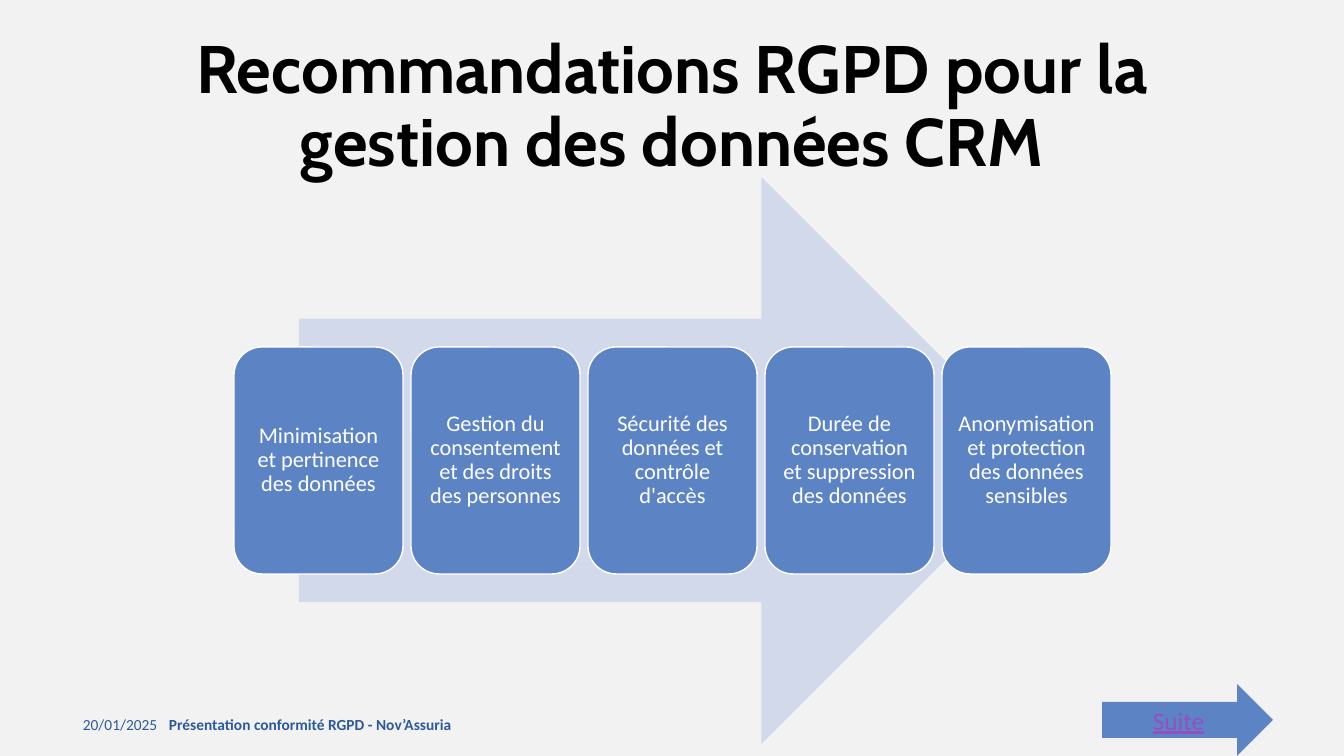
from dataclasses import dataclass

from pptx import Presentation
from pptx.dml.color import RGBColor
from pptx.enum.shapes import MSO_SHAPE
from pptx.enum.text import MSO_ANCHOR, PP_ALIGN
from pptx.util import Pt

RIGHT_ARROW = MSO_SHAPE.RIGHT_ARROW
ROUNDED = MSO_SHAPE.ROUNDED_RECTANGLE
MIDDLE = MSO_ANCHOR.MIDDLE
LEFT, CENTER = PP_ALIGN.LEFT, PP_ALIGN.CENTER
EMU_PER_PX = 914400 / 100.8


@dataclass(frozen=True)
class Theme:
    background: str = "F2F2F2"
    title: str = "000000"
    footer: str = "2C599D"
    process: str = "D2D9EA"
    accent: str = "5C83C4"
    white: str = "FFFFFF"
    link: str = "954FC4"
    heading_font: str = "Cabin"
    body_font: str = "Calibri"
    title_size: int = 48
    next_size: int = 18
    card_size: int = 16
    footer_size: int = 11


THEME = Theme()
RECOMMENDATIONS = [
    "Minimisation et pertinence des données",
    "Gestion du consentement et des droits des personnes",
    "Sécurité des données et contrôle d'accès",
    "Durée de conservation et suppression des données",
    "Anonymisation et protection des données sensibles",
]


def px(value):
    return round(value * EMU_PER_PX)


def rgb(value):
    return RGBColor.from_string(value)


def write(holder, text, size, color, align=CENTER, font=THEME.body_font,
          bold=False, underline=False, spacing=1.0):
    frame = holder.text_frame
    frame.word_wrap = True
    frame.vertical_anchor = MIDDLE
    frame.text = text
    paragraph = frame.paragraphs[0]
    paragraph.alignment = align
    paragraph.line_spacing = spacing
    style = paragraph.runs[0].font
    style.name = font
    style.size = Pt(size)
    style.bold = bold
    style.underline = underline
    style.color.rgb = rgb(color)


def add_label(slide, box, text, size, color, **style):
    label = slide.shapes.add_textbox(*map(px, box))
    write(label, text, size, color, **style)


def add_block(slide, preset, box, fill):
    block = slide.shapes.add_shape(preset, *map(px, box))
    block.shadow.inherit = False
    block.fill.solid()
    block.fill.fore_color.rgb = rgb(fill)
    block.line.fill.background()
    return block


def add_card(slide, box, text):
    card = add_block(slide, ROUNDED, box, THEME.accent)
    card.line.color.rgb = rgb(THEME.white)
    card.line.width = Pt(1)
    frame = card.text_frame
    frame.margin_left = frame.margin_right = px(7)
    frame.margin_top = frame.margin_bottom = px(7)
    write(card, text, THEME.card_size, THEME.white, spacing=0.9)


def add_process(slide):
    add_block(slide, RIGHT_ARROW, (299, 177, 746, 567), THEME.process)
    first_left, pitch = 234, 177
    for index, recommendation in enumerate(RECOMMENDATIONS):
        add_card(slide, (first_left + index * pitch, 347, 169, 227), recommendation)


def add_footer(slide):
    add_label(slide, (73, 704, 302, 40), "20/01/2025",
              THEME.footer_size, THEME.footer, align=LEFT)
    add_label(slide, (159, 704, 454, 40), "Présentation conformité RGPD - Nov’Assuria",
              THEME.footer_size, THEME.footer, align=LEFT, bold=True)


def main():
    deck = Presentation()
    deck.slide_width, deck.slide_height = px(1344), px(756)
    slide = deck.slides.add_slide(deck.slide_layouts[6])
    slide.background.fill.solid()
    slide.background.fill.fore_color.rgb = rgb(THEME.background)

    add_footer(slide)
    add_label(slide, (92, 69, 1160, 78),
              "Recommandations RGPD pour la gestion des données CRM",
              THEME.title_size, THEME.title, font=THEME.heading_font,
              bold=True, spacing=0.9)
    add_process(slide)
    next_arrow = add_block(slide, RIGHT_ARROW, (1102, 684, 171, 72), THEME.accent)
    write(next_arrow, "Suite", THEME.next_size, THEME.link, underline=True)

    deck.save("out.pptx")


if __name__ == "__main__":
    main()
